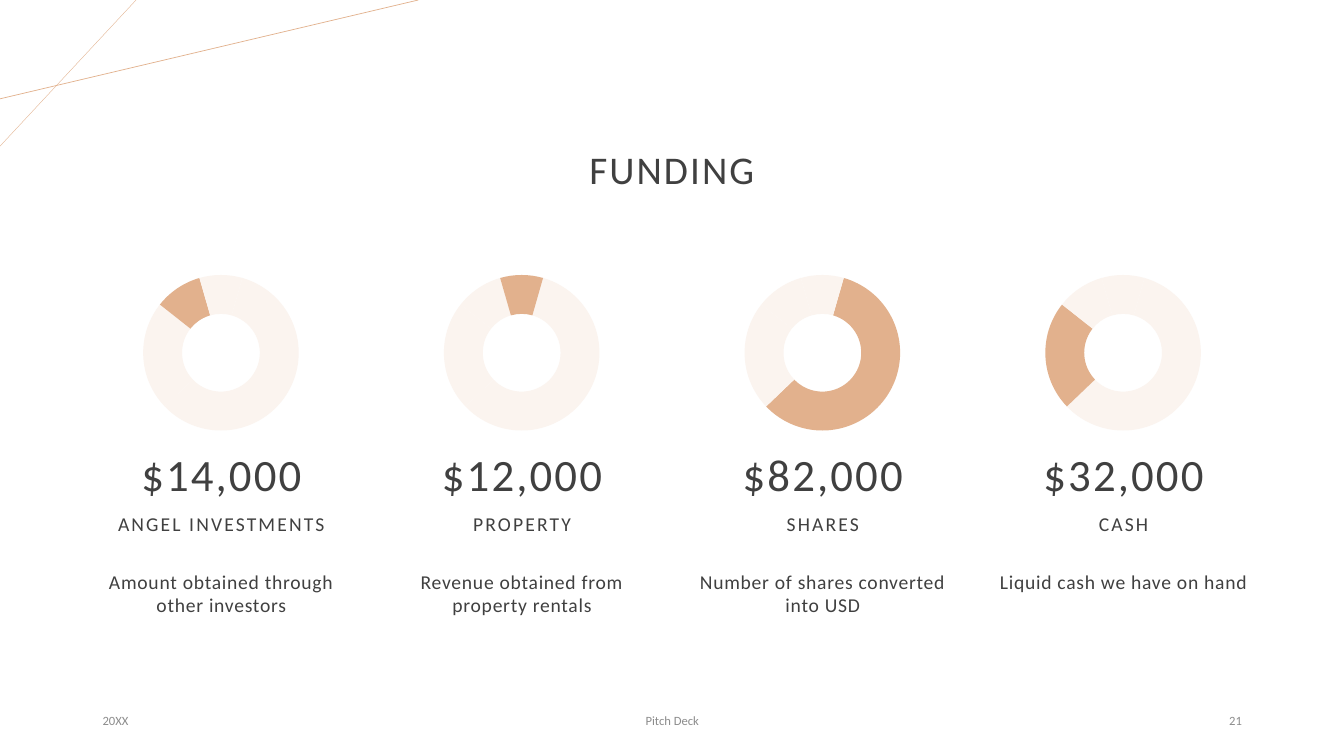
from lxml.etree import SubElement
from pptx import Presentation
from pptx.chart.data import CategoryChartData as ChartData
from pptx.dml.color import RGBColor
from pptx.enum.chart import XL_CHART_TYPE as Kind
from pptx.enum.shapes import MSO_CONNECTOR as Link
from pptx.enum.text import MSO_ANCHOR as Anchor, PP_ALIGN as Align
from pptx.oxml.ns import qn
from pptx.util import Pt

WHITE = RGBColor(0xFF, 0xFF, 0xFF)
BLACK = RGBColor(0, 0, 0)
DARK = RGBColor(0x40, 0x40, 0x40)
GRAY = RGBColor(0x8C, 0x8C, 0x8C)
TAN = RGBColor(0xE2, 0xB1, 0x8D)
PALE = RGBColor(0xFB, 0xF4, 0xEF)

SHARES = (59, 23, 10, 9)
LEFT, STEP, WIDE = 66.24, 214.8, 183.8
FUNDS = (
    ("$14,000", "ANGEL INVESTMENTS", "Amount obtained through other investors", 2),
    ("$12,000", "PROPERTY", "Revenue obtained from property rentals", 3),
    ("$82,000", "SHARES", "Number of shares converted into USD", 0),
    ("$32,000", "CASH", "Liquid cash we have on hand", 1),
)


class Deck:
    face = "Calibri"

    def __init__(self):
        self.file = Presentation()
        self.file.slide_width = Pt(960)
        self.file.slide_height = Pt(540)
        self.slide = self.file.slides.add_slide(self.file.slide_layouts[6])
        fill = self.slide.background.fill
        fill.solid()
        fill.fore_color.rgb = WHITE

    def line(self, start, end, width):
        ends = [Pt(n) for n in (*start, *end)]
        line = self.slide.shapes.add_connector(Link.STRAIGHT, *ends)
        line.line.color.rgb = TAN
        line.line.width = Pt(width)
        SubElement(line._element.spPr, qn("a:effectLst"))

    def text(self, words, box, size, color=DARK, align=Align.CENTER,
             anchor=Anchor.MIDDLE, side=7.2, gap=0, lead=1.0, track=0):
        shape = self.slide.shapes.add_textbox(*[Pt(n) for n in box])
        frame = shape.text_frame
        frame.word_wrap = True
        frame.vertical_anchor = anchor
        frame.margin_left = frame.margin_right = Pt(side)
        frame.margin_top = frame.margin_bottom = Pt(3.6)
        para = frame.paragraphs[0]
        para.text = words
        para.alignment = align
        para.line_spacing = lead
        para.space_before = Pt(gap)
        font = para.font
        font.name, font.size = self.face, Pt(size)
        font.color.rgb = color
        if track:
            base = para._p.pPr.find(qn("a:defRPr"))
            base.set("spc", str(round(track * 100)))

    def ring(self, box, accent):
        data = ChartData()
        data.categories = [str(n + 1) for n in range(len(SHARES))]
        data.add_series("Series 1", SHARES)
        frame = self.slide.shapes.add_chart(
            Kind.DOUGHNUT, *[Pt(n) for n in box], data)
        chart = frame.chart
        chart.has_legend = chart.has_title = False
        chart.font.name, chart.font.size = self.face, Pt(10)
        chart.font.color.rgb = BLACK
        plot = chart.plots[0]
        plot.vary_by_categories = True
        plot._element.find(qn("c:firstSliceAng")).set("val", "16")
        plot._element.find(qn("c:holeSize")).set("val", "80")
        for n in range(len(SHARES)):
            part = plot.series[0].points[n].format
            part.fill.solid()
            part.fill.fore_color.rgb = TAN if n == accent else PALE
            part.line.fill.background()

    def fund(self, left, total, name, note, accent):
        self.ring((left + 18.6, 186.5, 146, 131), accent)
        style = dict(anchor=Anchor.BOTTOM, side=0, gap=10, lead=0.9, track=1.5)
        self.text(total, (left, 298, WIDE, 63.4), 32, **style)
        self.text(name, (left, 351.4, WIDE, 34.6), 14, **style)
        self.text(note, (left, 403.2, WIDE, 67), 14,
                  anchor=Anchor.TOP, side=0, gap=10, track=0.5)


def main():
    deck = Deck()
    deck.line((97.2, 0), (0, 104.4), 0.25)
    deck.line((298.8, 0), (0, 70.6), 0.5)
    deck.text("FUNDING", (148.3, 70.6, 663.1, 104.4), 28, lead=0.9, track=1.5)
    for n, fund in enumerate(FUNDS):
        deck.fund(LEFT + n * STEP, *fund)
    for words, left, width, align in (
        ("20XX", LEFT, 216, Align.LEFT),
        ("Pitch Deck", 318.2, 324, Align.CENTER),
        ("21", 678.2, 216, Align.RIGHT),
    ):
        deck.text(words, (left, 500.4, width, 28.8), 9, GRAY, align)
    deck.file.save("out.pptx")


if __name__ == "__main__":
    main()
